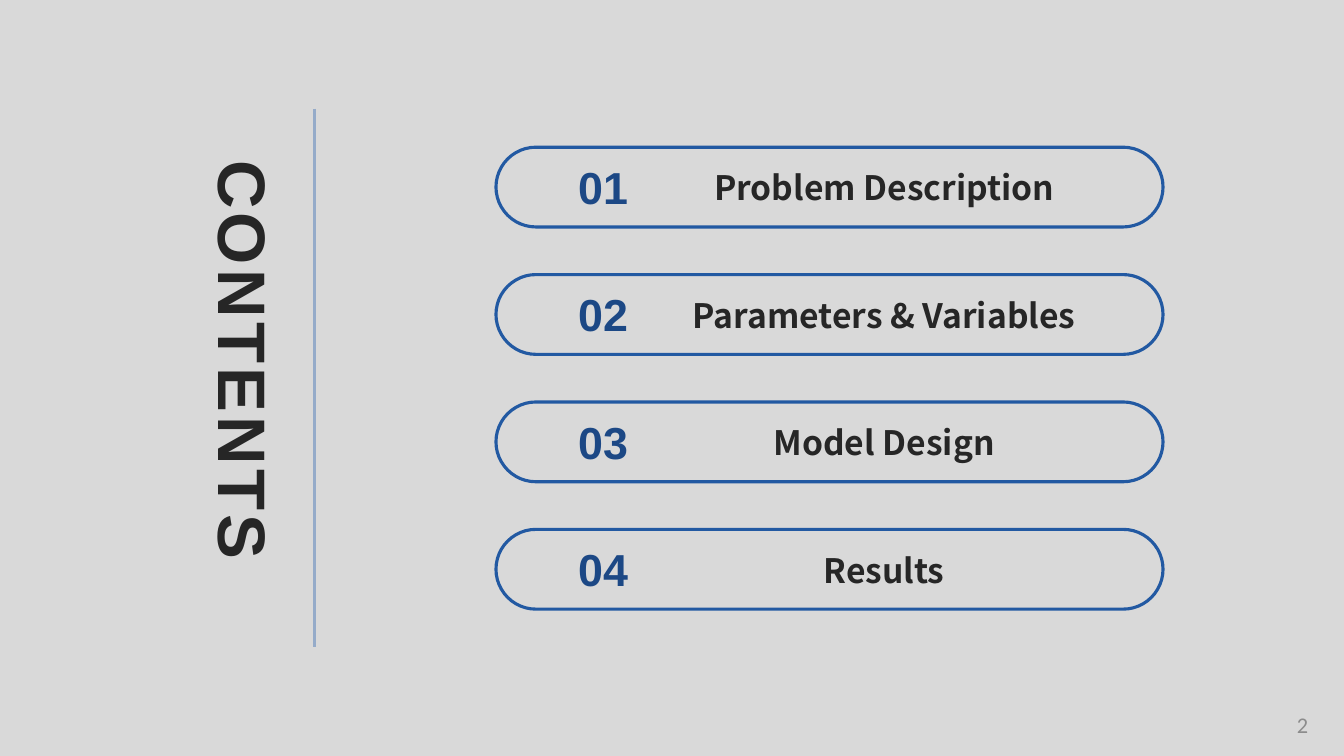
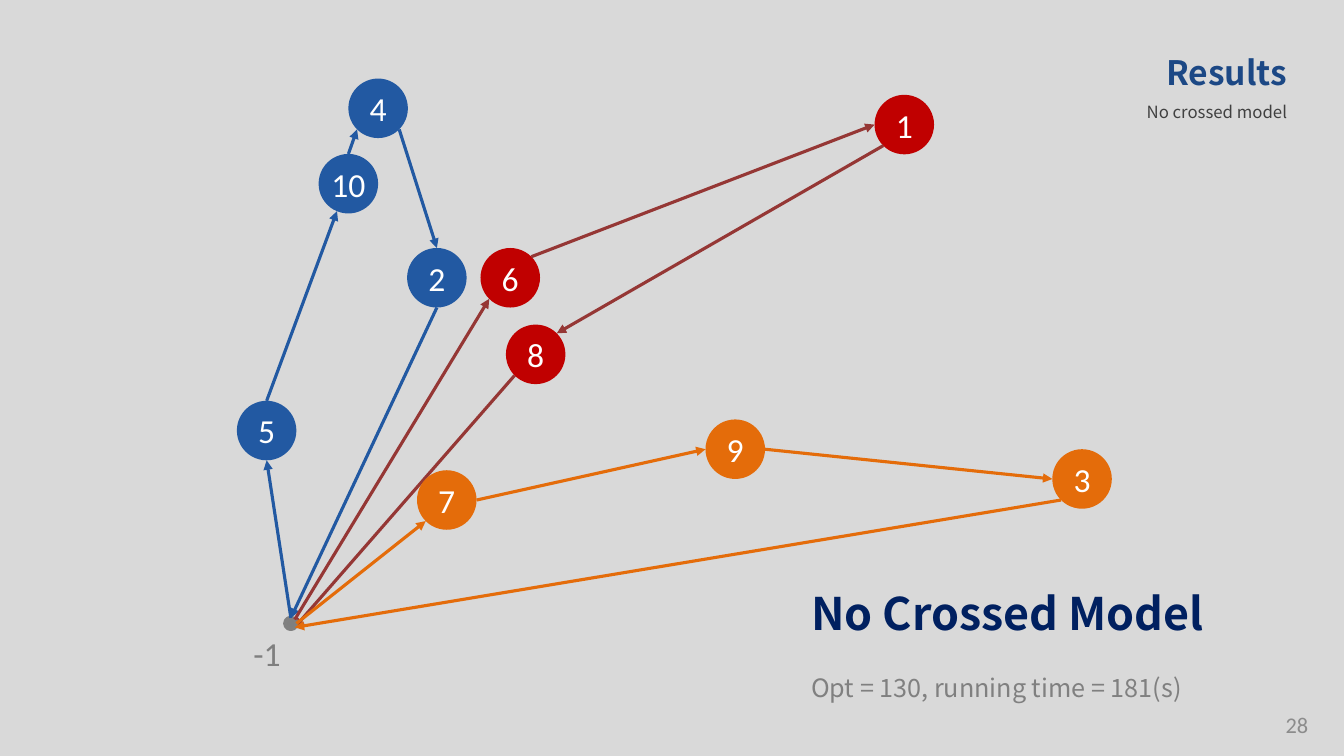
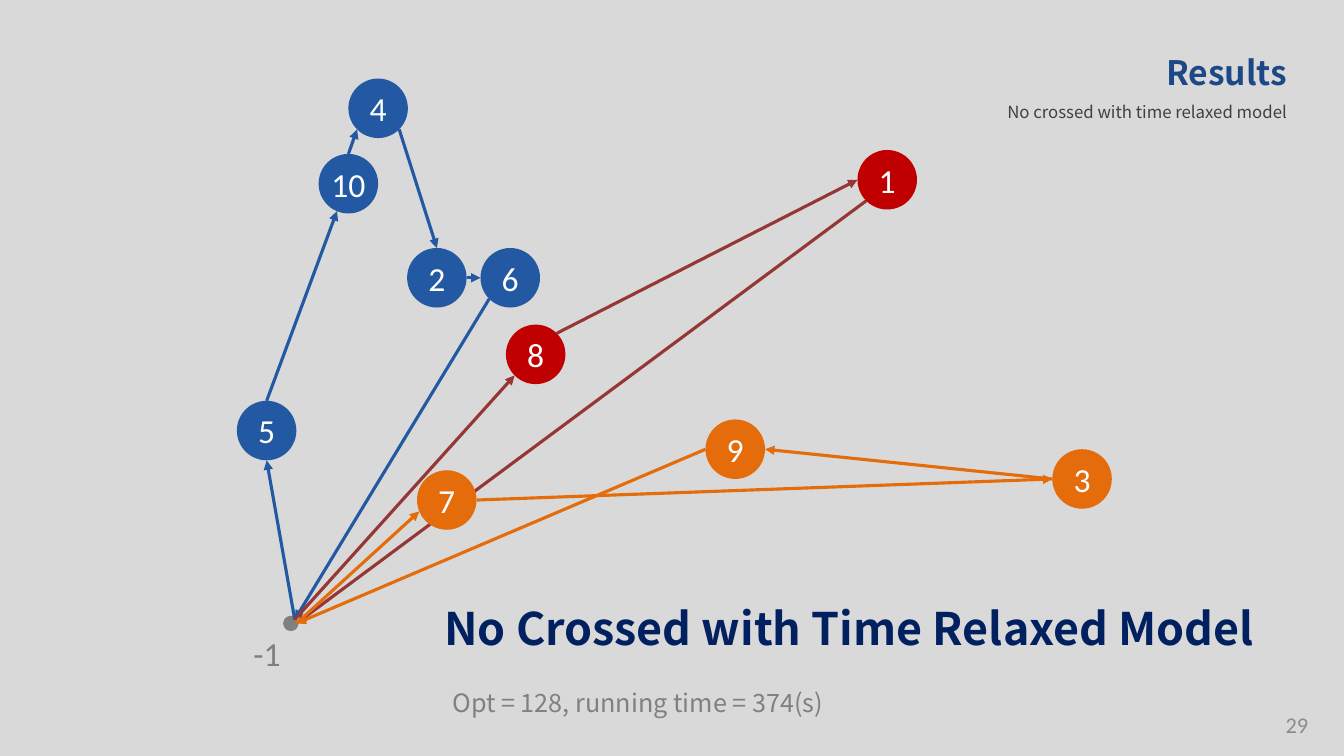
import math

import pptx
import pptx.util
import pptx.dml.color
import pptx.enum.shapes
import pptx.enum.text
import pptx.oxml
import pptx.oxml.ns

Cm, Pt = pptx.util.Cm, pptx.util.Pt
SHAPE = pptx.enum.shapes.MSO_SHAPE
ANCHOR = pptx.enum.text.MSO_ANCHOR
ALIGN = {"l": pptx.enum.text.PP_ALIGN.LEFT,
         "c": pptx.enum.text.PP_ALIGN.CENTER,
         "r": pptx.enum.text.PP_ALIGN.RIGHT}

COLORS = {
    "background": "D9D9D9", "ink": "262626", "heading": "1C4885",
    "subtitle": "404040", "number": "8C8C8C", "rule": "95ABC9",
    "blue": "2259A2", "red": "C00000", "dark_red": "953735",
    "orange": "E46C0A", "navy": "002060", "gray": "808080",
    "depot": "7F7F7F", "white": "FFFFFF",
}
HEAD_FONT, NUMBER_FONT, TEXT_FONT = "Noto Sans CJK SC", "Arial", "Calibri"
COMPASS = ["E", "ESE", "SE", "SSE", "S", "SSW", "SW", "WSW",
           "W", "WNW", "NW", "NNW", "N", "NNE", "NE", "ENE"]


def rgb(name):
    return pptx.dml.color.RGBColor.from_string(COLORS[name])


def write_text(tf, text, size=24, color="ink", font=TEXT_FONT, bold=False,
               align="l", anchor=ANCHOR.TOP, line_spacing=None, spacing=None):
    """Fill a text frame with one formatted paragraph."""
    tf.word_wrap = True
    tf.auto_size = pptx.enum.text.MSO_AUTO_SIZE.NONE
    tf.vertical_anchor = anchor
    p = tf.paragraphs[0]
    p.alignment = ALIGN[align]
    if line_spacing:
        p.line_spacing = line_spacing
    r = p.add_run()
    r.text = text
    r.font.name, r.font.size, r.font.bold = font, Pt(size), bold
    r.font.color.rgb = rgb(color)
    if spacing:
        r.font._element.set("spc", str(spacing * 100))


class Deck:
    """Shared style and the slide being built; all lengths in cm."""

    def __init__(self):
        self.prs = pptx.Presentation()
        self.prs.slide_width, self.prs.slide_height = Cm(33.87), Cm(19.05)
        fill = self.prs.slide_master.background.fill
        fill.solid()
        fill.fore_color.rgb = rgb("background")
        self.slide = None

    def new_slide(self, number):
        self.slide = self.prs.slides.add_slide(self.prs.slide_layouts[5])
        self.text(str(number), 25.6, 17.75, 7.62, 1.02, size=16,
                  color="number", align="r", anchor=ANCHOR.MIDDLE)

    def title(self, text, x, y, w, h, vertical=False, **fmt):
        sp = self.slide.shapes.title
        sp.left, sp.top, sp.width, sp.height = Cm(x), Cm(y), Cm(w), Cm(h)
        write_text(sp.text_frame, text, bold=True, **fmt)
        if vertical:
            sp.text_frame._txBody.bodyPr.set("vert", "eaVert")

    def text(self, text, x, y, w, h, **fmt):
        sp = self.slide.shapes.add_textbox(Cm(x), Cm(y), Cm(w), Cm(h))
        write_text(sp.text_frame, text, **fmt)

    def shape(self, kind, x, y, w, h, fill=None, line=None, width=2.25):
        sp = self.slide.shapes.add_shape(kind, Cm(x), Cm(y), Cm(w), Cm(h))
        sp.shadow.inherit = False
        if fill:
            sp.fill.solid()
            sp.fill.fore_color.rgb = rgb(fill)
        else:
            sp.fill.background()
        if line:
            sp.line.color.rgb = rgb(line)
            sp.line.width = Pt(width)
        else:
            sp.line.fill.background()
        return sp

    def line(self, start, end, color, arrow=False):
        sp = self.slide.shapes.add_connector(
            pptx.enum.shapes.MSO_CONNECTOR.STRAIGHT,
            *(Cm(v) for v in (*start, *end)))
        sp.line.color.rgb = rgb(color)
        sp.line.width = Pt(2.25)
        if arrow:
            ln = sp.line._get_or_add_ln()
            tail = pptx.oxml.ns.qn("a:tailEnd")
            ln.append(ln.makeelement(tail, {"type": "triangle"}))
        sp_pr = sp._element.spPr
        sp_pr.append(sp_pr.makeelement(pptx.oxml.ns.qn("a:effectLst"), {}))

    def circle(self, center, radius, **style):
        x, y = center
        return self.shape(SHAPE.OVAL, x - radius, y - radius,
                          2 * radius, 2 * radius, **style)

    def node(self, label, center, color):
        tf = self.circle(center, NODE_RADIUS, fill=color).text_frame
        tf.margin_left = tf.margin_right = 0
        write_text(tf, label, color="white", align="c", anchor=ANCHOR.MIDDLE)

    def pill(self, number, label, y):
        sp = self.shape(SHAPE.ROUNDED_RECTANGLE, 12.5, y, 16.81, 2.01,
                        line="blue")
        sp.adjustments[0] = 0.5
        self.text(number, 14.02, y + 0.19, 2.36, 1.62, size=32,
                  color="heading", font=NUMBER_FONT, bold=True, align="c")
        self.text(label, 15.28, y + 0.38, 14, 1.27, font=HEAD_FONT,
                  bold=True, align="c")


# Route map: node centres, and edges as (start, side, end, side)
NODE_RADIUS, DEPOT_RADIUS = 0.75, 0.14
DEPOT = "-1"
NODES = {
    "1": (22.79, 3.14), "2": (11.01, 7), "6": (12.86, 7),
    "3": (27.27, 12.07), "9": (18.53, 11.32), "8": (13.5, 8.93),
    "7": (11.26, 12.6), "4": (9.53, 2.73), "10": (8.78, 4.63),
    "5": (6.72, 10.85), DEPOT: (7.33, 15.71),
}
EDGE_COLORS = {"blue": "blue", "red": "dark_red", "orange": "orange"}
BLUE_START = [("5", "N", "10", "SSW"), ("10", "N", "4", "SW"),
              ("4", "SE", "2", "N")]


def port(nodes, name, side):
    """Point on the rim of a node in a compass direction."""
    x, y = nodes[name]
    radius = DEPOT_RADIUS if name == DEPOT else NODE_RADIUS
    angle = math.radians(22.5 * COMPASS.index(side))
    return x + radius * math.cos(angle), y + radius * math.sin(angle)


def route_map(deck, nodes, groups, behind, routes):
    def draw(color, edge):
        a, a_side, b, b_side = edge
        deck.line(port(nodes, a, a_side), port(nodes, b, b_side),
                  EDGE_COLORS[color], arrow=True)

    draw("red", behind)
    for color, names in groups.items():
        for name in names:
            deck.node(name, nodes[name], color)
    deck.circle(nodes[DEPOT], DEPOT_RADIUS, fill="depot", line="gray", width=3)
    deck.text(DEPOT, 6.12, 15.82, 1.22, 1.27, color="depot", align="c")
    for color, edges in routes.items():
        for edge in edges:
            draw(color, edge)


def contents_slide(deck):
    deck.new_slide(2)
    deck.title("CONTENTS", 4.88, 3.91, 2.57, 11.23, vertical=True,
               size=48, font=NUMBER_FONT, spacing=3)
    deck.line((7.92, 2.74), (7.92, 16.31), "rule")
    sections = ["Problem Description", "Parameters & Variables",
                "Model Design", "Results"]
    for i, section in enumerate(sections):
        deck.pill(f"{i + 1:02}", section, 3.71 + 3.21 * i)


def results_slide(deck, number, subtitle, caption, caption_at, summary,
                  summary_at, **route):
    deck.new_slide(number)
    deck.title("Results", 23.42, 1.17, 9.27, 1.27, color="heading",
               font=HEAD_FONT, align="r")
    deck.text(subtitle, 18.03, 2.18, 14.66, 1.02, size=12, color="subtitle",
              font=HEAD_FONT, align="r", line_spacing=1.5)
    route_map(deck, **route)
    deck.text(caption, *caption_at, 23.04, 1.62, size=32, color="navy",
              font=HEAD_FONT, bold=True)
    deck.text(summary, *summary_at, 10.69, 1.4, size=18, color="gray",
              font=HEAD_FONT, line_spacing=1.6)


def main():
    deck = Deck()
    contents_slide(deck)

    # Model without crossings
    results_slide(
        deck, 28, "No crossed model",
        "No Crossed Model", (20.19, 14.63),
        "Opt = 130, running time = 181(s)", (20.19, 16.36),
        nodes=NODES,
        groups={"red": ["1", "6", "8"], "blue": ["2", "4", "10", "5"],
                "orange": ["3", "9", "7"]},
        behind=("8", "SW", DEPOT, "SE"),
        routes={
            "blue": BLUE_START + [("2", "S", DEPOT, "N"),
                                  (DEPOT, "N", "5", "S")],
            "red": [("6", "NE", "1", "W"), (DEPOT, "NE", "6", "SW"),
                    ("1", "SW", "8", "NE")],
            "orange": [(DEPOT, "E", "7", "SW"), ("7", "E", "9", "W"),
                       ("9", "E", "3", "W"), ("3", "SW", DEPOT, "SE")],
        })

    # Model with relaxed time: node 1 moves and node 6 joins the blue route
    results_slide(
        deck, 29, "No crossed with time relaxed model",
        "No Crossed with Time Relaxed Model", (10.95, 15.01),
        "Opt = 128, running time = 374(s)", (11.15, 16.74),
        nodes={**NODES, "1": (22.36, 4.53)},
        groups={"red": ["1", "8"], "blue": ["2", "6", "4", "10", "5"],
                "orange": ["3", "9", "7"]},
        behind=("1", "SW", DEPOT, "E"),
        routes={
            "blue": BLUE_START + [("6", "SW", DEPOT, "NE"),
                                  ("2", "E", "6", "W"),
                                  (DEPOT, "NE", "5", "S")],
            "red": [("8", "NE", "1", "W"), (DEPOT, "NE", "8", "SW")],
            "orange": [(DEPOT, "E", "7", "WSW"), ("7", "E", "3", "W"),
                       ("3", "W", "9", "E"), ("9", "W", DEPOT, "E")],
        })
    deck.prs.save("out.pptx")


if __name__ == "__main__":
    main()
